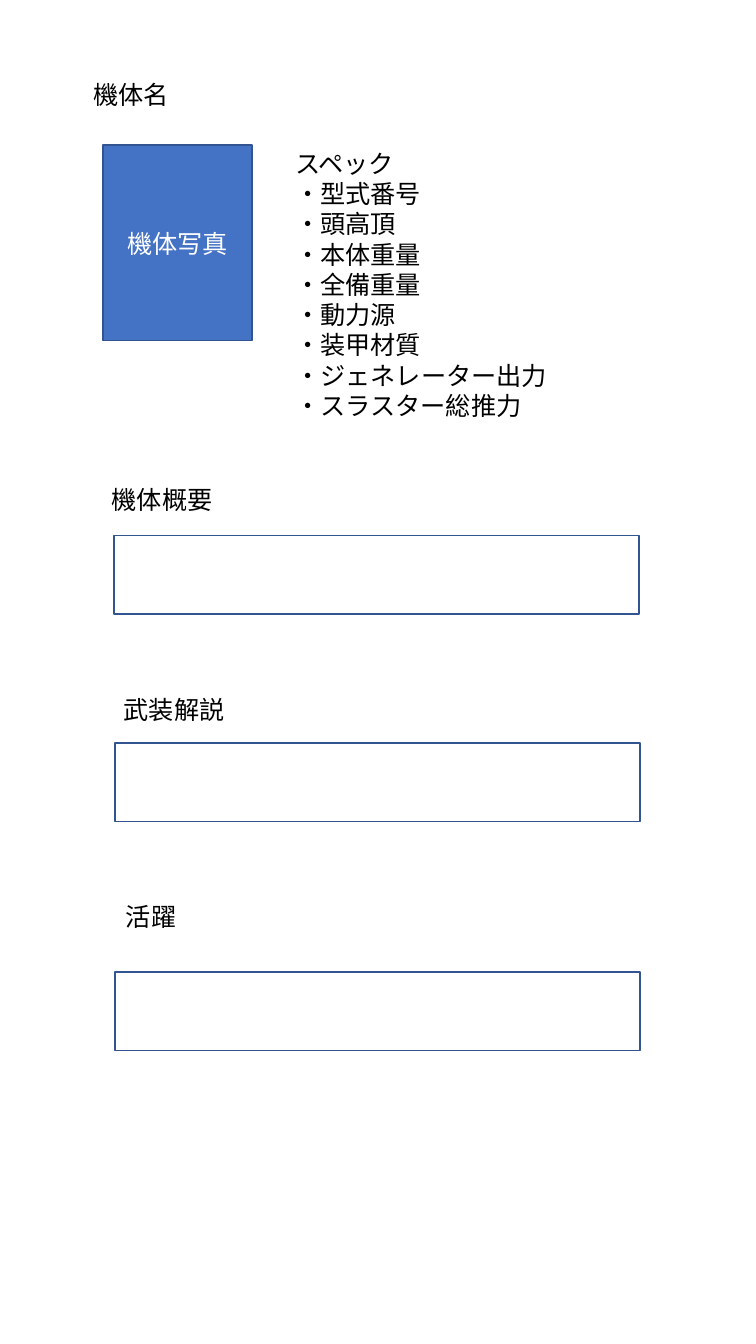
"""Build a portrait machine profile sheet with a photo slot, specs and three sections."""
from dataclasses import dataclass

from pptx import Presentation
from pptx.dml.color import RGBColor
from pptx.enum.shapes import MSO_SHAPE
from pptx.enum.text import MSO_ANCHOR, MSO_AUTO_SIZE, PP_ALIGN
from pptx.shapes.autoshape import Shape
from pptx.slide import Slide
from pptx.text.text import TextFrame
from pptx.util import Inches, Pt


@dataclass(frozen=True)
class Theme:
    font: str = "Calibri"
    size: Pt = Pt(18)
    outline_width: Pt = Pt(1)
    text: RGBColor = RGBColor(0x00, 0x00, 0x00)
    paper: RGBColor = RGBColor(0xFF, 0xFF, 0xFF)
    accent: RGBColor = RGBColor(0x44, 0x72, 0xC4)
    outline: RGBColor = RGBColor(0x32, 0x54, 0x91)


@dataclass(frozen=True)
class Box:
    left: float
    top: float
    width: float
    height: float

    def emu(self) -> tuple[Inches, ...]:
        return tuple(map(Inches, (self.left, self.top, self.width, self.height)))


@dataclass(frozen=True)
class Section:
    heading: str
    heading_left: float
    heading_top: float
    frame_left: float
    frame_top: float


THEME = Theme()
LABEL_HEIGHT = 0.4
HEADING_WIDTH = 1.64
FRAME_WIDTH, FRAME_HEIGHT = 5.21, 0.78

SPECS = ("型式番号", "頭高頂", "本体重量", "全備重量", "動力源", "装甲材質",
         "ジェネレーター出力", "スラスター総推力")
SECTIONS = (
    Section("機体概要", 1.01, 4.75, 1.13, 5.31),
    Section("武装解説", 1.13, 6.84, 1.14, 7.37),
    Section("活躍", 1.15, 8.89, 1.14, 9.64),
)


def write(frame: TextFrame, lines: list[str], color: RGBColor,
          align: PP_ALIGN = PP_ALIGN.LEFT) -> None:
    frame.word_wrap = True
    for index, line in enumerate(lines):
        paragraph = frame.add_paragraph() if index else frame.paragraphs[0]
        paragraph.alignment = align
        run = paragraph.add_run()
        run.text = line
        run.font.name = THEME.font
        run.font.size = THEME.size
        run.font.color.rgb = color


def add_label(slide: Slide, box: Box, lines: list[str]) -> None:
    frame = slide.shapes.add_textbox(*box.emu()).text_frame
    write(frame, lines, THEME.text)
    frame.auto_size = MSO_AUTO_SIZE.SHAPE_TO_FIT_TEXT


def add_panel(slide: Slide, box: Box, fill: RGBColor) -> Shape:
    panel = slide.shapes.add_shape(MSO_SHAPE.RECTANGLE, *box.emu())
    panel.shadow.inherit = False
    panel.fill.solid()
    panel.fill.fore_color.rgb = fill
    panel.line.color.rgb = THEME.outline
    panel.line.width = THEME.outline_width
    return panel


def add_section(slide: Slide, section: Section) -> None:
    add_label(slide, Box(section.heading_left, section.heading_top,
                         HEADING_WIDTH, LABEL_HEIGHT), [section.heading])
    add_panel(slide, Box(section.frame_left, section.frame_top,
                         FRAME_WIDTH, FRAME_HEIGHT), THEME.paper)


def main() -> None:
    deck = Presentation()
    deck.slide_width, deck.slide_height = Inches(7.5), Inches(13.33)
    slide = deck.slides.add_slide(deck.slide_layouts[6])

    add_label(slide, Box(0.83, 0.74, 2, LABEL_HEIGHT), ["機体名"])
    photo = add_panel(slide, Box(1.02, 1.44, 1.48, 1.94), THEME.accent)
    photo.text_frame.vertical_anchor = MSO_ANCHOR.MIDDLE
    write(photo.text_frame, ["機体写真"], THEME.paper, PP_ALIGN.CENTER)
    add_label(slide, Box(2.83, 1.42, 2.83, 2.83),
              ["スペック", *(f"・{spec}" for spec in SPECS)])
    for section in SECTIONS:
        add_section(slide, section)

    deck.save("out.pptx")


main()
